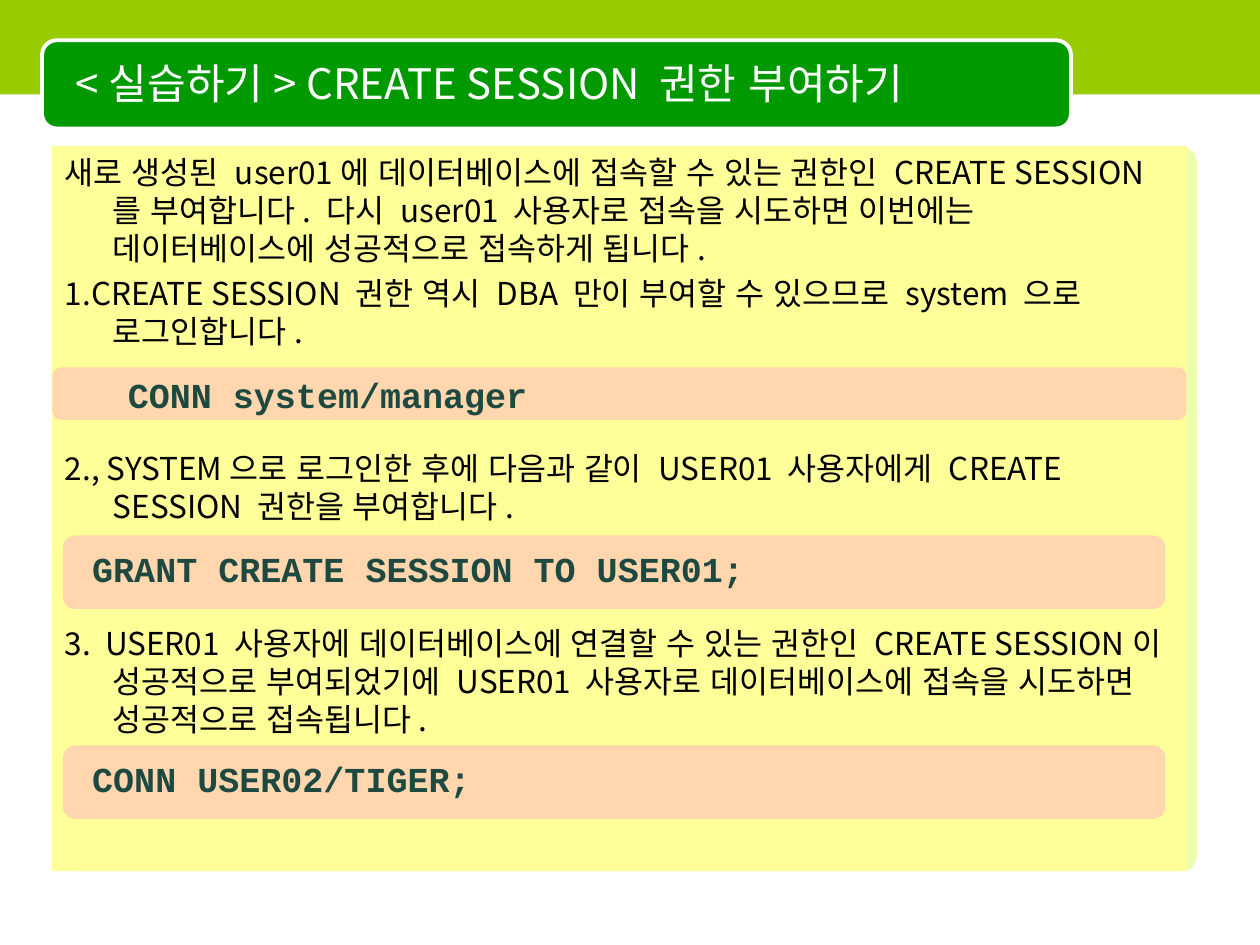
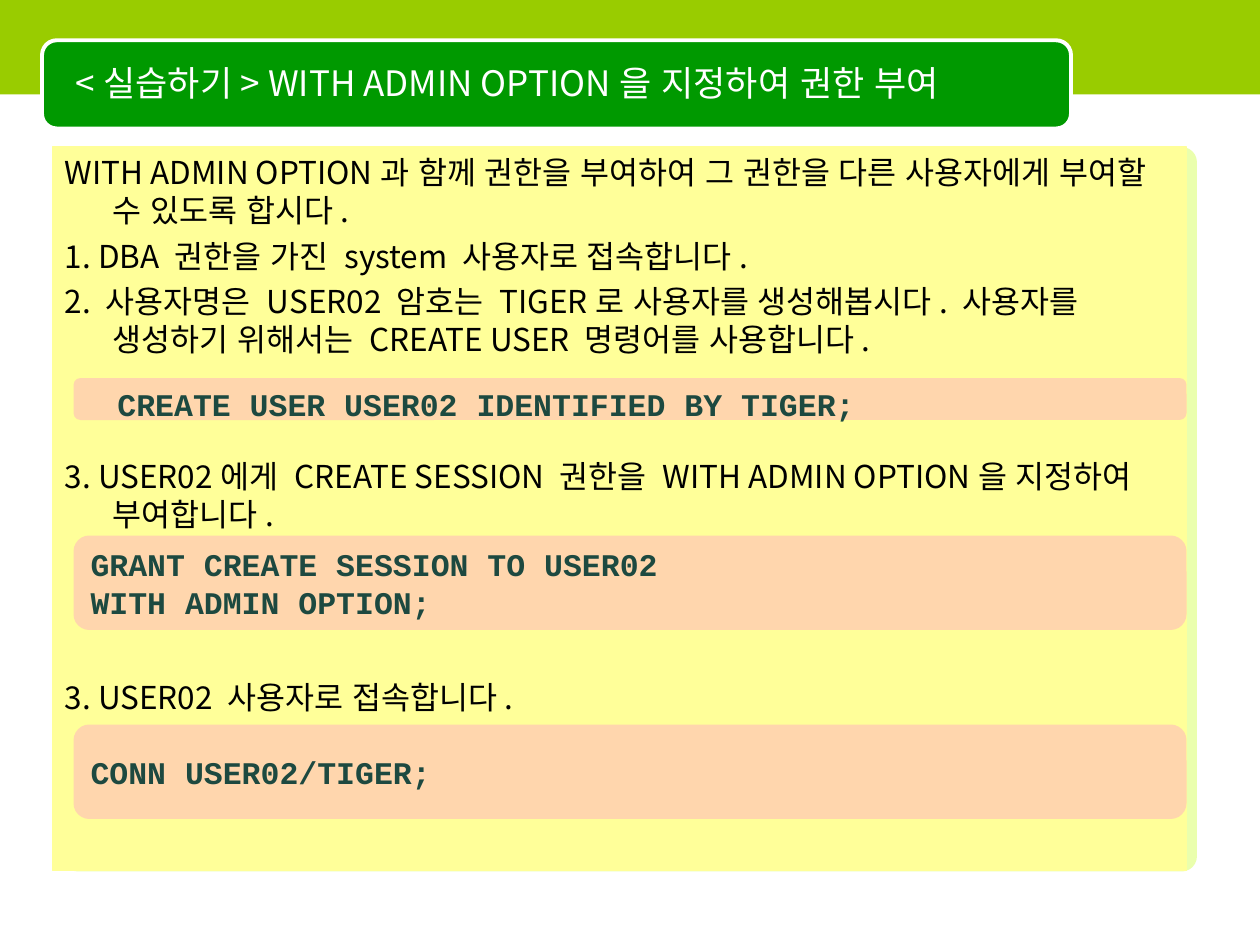
from pptx import Presentation, util as u
from pptx.dml import color
from pptx.enum import lang, shapes, text
from pptx.oxml import xmlchemy

COLS, ROWS = 120, 90
COLORS = {
    "band": "99CC00", "title": "009900", "white": "FFFFFF", "edge": "CCFF33",
    "paper": "FFFF99", "bar": "FF99CC", "code": "1D4940", "ink": "000000",
}
KOREAN, MONO = "Noto Sans CJK KR", "Courier New"
LINE_GAP, BLANK_LINE = 4.5, 26.1
FRAME = (5, 14, 108, 68.9)

prs = Presentation()
prs.slide_width, prs.slide_height = u.Inches(10), u.Inches(7.5)


def rgb(name):
    return color.RGBColor.from_string(COLORS[name])


def place(box):
    x, y, w, h = box
    cw, rh = prs.slide_width / COLS, prs.slide_height / ROWS
    return [u.Emu(round(v)) for v in (x * cw, y * rh, w * cw, h * rh)]


def inside(parent, box):
    return (parent[0] + box[0], parent[1] + box[1], box[2], box[3])


def draw(parent, box, fill, line=None, width=0.75, radius=None, alpha=None):
    kind = shapes.MSO_SHAPE.RECTANGLE if radius is None else shapes.MSO_SHAPE.ROUNDED_RECTANGLE
    sp = parent.add_shape(kind, *place(box))
    sp.shadow.inherit = False
    if radius is not None:
        sp.adjustments[0] = radius
    sp.fill.solid()
    sp.fill.fore_color.rgb = rgb(fill)
    if alpha:
        clr = sp.fill._xPr.find(".//" + xmlchemy.qn("a:srgbClr"))
        xmlchemy.OxmlElement("a:alpha")
        node = xmlchemy.OxmlElement("a:alpha")
        node.set("val", str(alpha * 1000))
        clr.append(node)
    if line:
        sp.line.color.rgb = rgb(line)
        sp.line.width = u.Pt(width)
    else:
        sp.line.fill.background()
    return sp


def write(sp, lines, size=18, font=KOREAN, ink="ink", bold=False, hang=0,
          before=None, anchor=text.MSO_ANCHOR.TOP):
    tf = sp.text_frame
    tf.word_wrap = True
    tf.auto_size = text.MSO_AUTO_SIZE.NONE
    tf.vertical_anchor = anchor
    for i, line in enumerate(lines):
        p = tf.add_paragraph() if i else tf.paragraphs[0]
        p.alignment = text.PP_ALIGN.LEFT
        p.space_before = u.Pt(before[i] if before else 0)
        if hang:
            pPr = p._p.get_or_add_pPr()
            pPr.set("marL", str(u.Inches(hang)))
            pPr.set("indent", str(-u.Inches(hang)))
        r = p.add_run()
        r.text = line
        r.font.name, r.font.size, r.font.bold = font, u.Pt(size), bold
        r.font.color.rgb = rgb(ink)
        r.font.language_id = lang.MSO_LANGUAGE_ID.KOREAN
        ea = xmlchemy.OxmlElement("a:ea")
        ea.set("typeface", font)
        r.font._element.append(ea)


def header(s, title, size):
    draw(s.shapes, (0, 0, COLS, 9), "band")
    draw(s.shapes, (4, 3.84, 98, 8.4), "title", line="white", width=2.25, radius=0.167)
    sp = s.shapes.title
    sp.left, sp.top, sp.width, sp.height = place((6, 4.2, 95, 7.4))
    s.shapes.element.append(sp.element)
    write(sp, [title], size=size, ink="white", anchor=text.MSO_ANCHOR.MIDDLE)


def body(s, frame, steps):
    sp = draw(s.shapes, frame, "paper", line="paper")
    write(sp, [line for line, blanks in steps], hang=0.38,
          before=[LINE_GAP + blanks * BLANK_LINE for line, blanks in steps])


def code_bar(s, frame, box, lines, size, label=None):
    bar = inside(frame, box)
    parent = s.shapes.add_group_shape().shapes if label else s.shapes
    sp = draw(parent, bar, "bar", radius=0.167, alpha=40)
    anchor = text.MSO_ANCHOR.MIDDLE
    if label:
        sp = parent.add_textbox(*place(inside(bar, label)))
        anchor = text.MSO_ANCHOR.TOP
    write(sp, lines, size=size, font=MONO, ink="code", bold=True, anchor=anchor)


def practice_slide(title, title_size, steps, code_size, bars):
    s = prs.slides.add_slide(prs.slide_layouts[5])
    x, y, w, h = FRAME
    draw(s.shapes, (x + 1, y, w, h + 0.1), "edge", radius=0.021, alpha=40)
    header(s, title, title_size)
    body(s, FRAME, steps)
    for box, lines, label in bars:
        code_bar(s, FRAME, box, lines, code_size, label)


def main():
    label = (1.6, 0.6, 101.9, 5.3)
    practice_slide(
        "<실습하기> CREATE SESSION 권한 부여하기", 24,
        [("새로 생성된 user01에 데이터베이스에 접속할 수 있는 권한인 CREATE SESSION를 부여합니다. "
          "다시 user01 사용자로 접속을 시도하면 이번에는 데이터베이스에 성공적으로 접속하게 됩니다.", 0),
         ("1.CREATE SESSION 권한 역시 DBA 만이 부여할 수 있으므로 system 으로 로그인합니다.", 0),
         ("2., SYSTEM으로 로그인한 후에 다음과 같이 USER01 사용자에게 CREATE SESSION 권한을 부여합니다.", 2),
         ("3.  USER01 사용자에 데이터베이스에 연결할 수 있는 권한인 CREATE SESSION이 성공적으로 "
          "부여되었기에 USER01 사용자로 데이터베이스에 접속을 시도하면 성공적으로 접속됩니다.", 2)],
        20,
        [((1, 37, 105, 7), ["GRANT CREATE SESSION TO USER01;"], label),
         ((0, 21, 108, 5), ["CONN system/manager"], (6, 0, 102, 9.2)),
         ((1, 57, 105, 7), ["CONN USER02/TIGER;"], label)])
    practice_slide(
        "<실습하기> WITH ADMIN OPTION을 지정하여 권한 부여", 20,
        [("WITH ADMIN OPTION과 함께 권한을 부여하여 그 권한을 다른 사용자에게 부여할 수 있도록 합시다.", 0),
         ("1. DBA 권한을 가진 system 사용자로 접속합니다.", 0),
         ("2. 사용자명은 USER02 암호는 TIGER로 사용자를 생성해봅시다. "
          "사용자를 생성하기 위해서는 CREATE USER 명령어를 사용합니다.", 0),
         ("3. USER02에게 CREATE SESSION 권한을 WITH ADMIN OPTION을 지정하여 부여합니다.", 2),
         ("3. USER02 사용자로 접속합니다.", 3)],
        18,
        [((2, 22, 106, 4), ["CREATE USER USER02 IDENTIFIED BY TIGER;"], (3, 0.1, 105, 4.8)),
         ((2, 37, 106, 9), ["GRANT CREATE SESSION TO USER02", "WITH ADMIN OPTION;"], None),
         ((2, 55, 106, 9), ["CONN USER02/TIGER;"], None)])
    prs.save("out.pptx")


if __name__ == "__main__":
    main()
